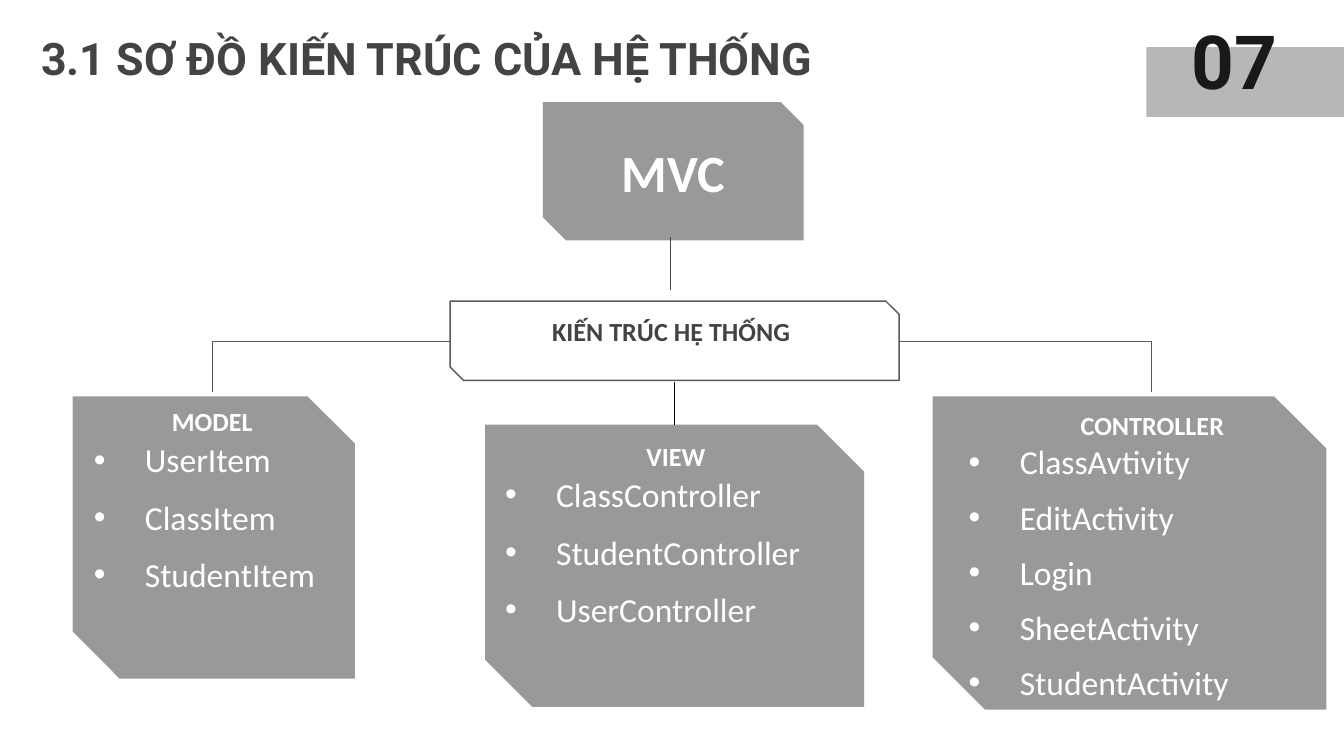
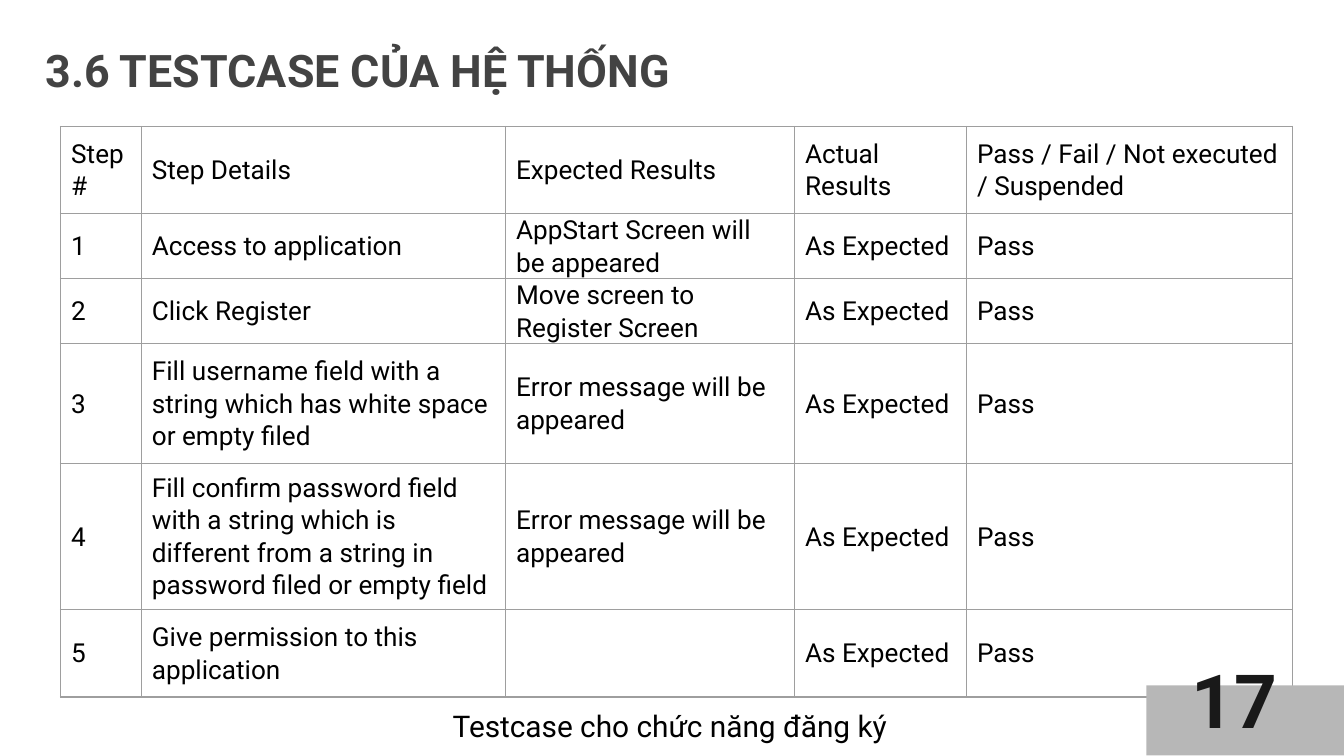
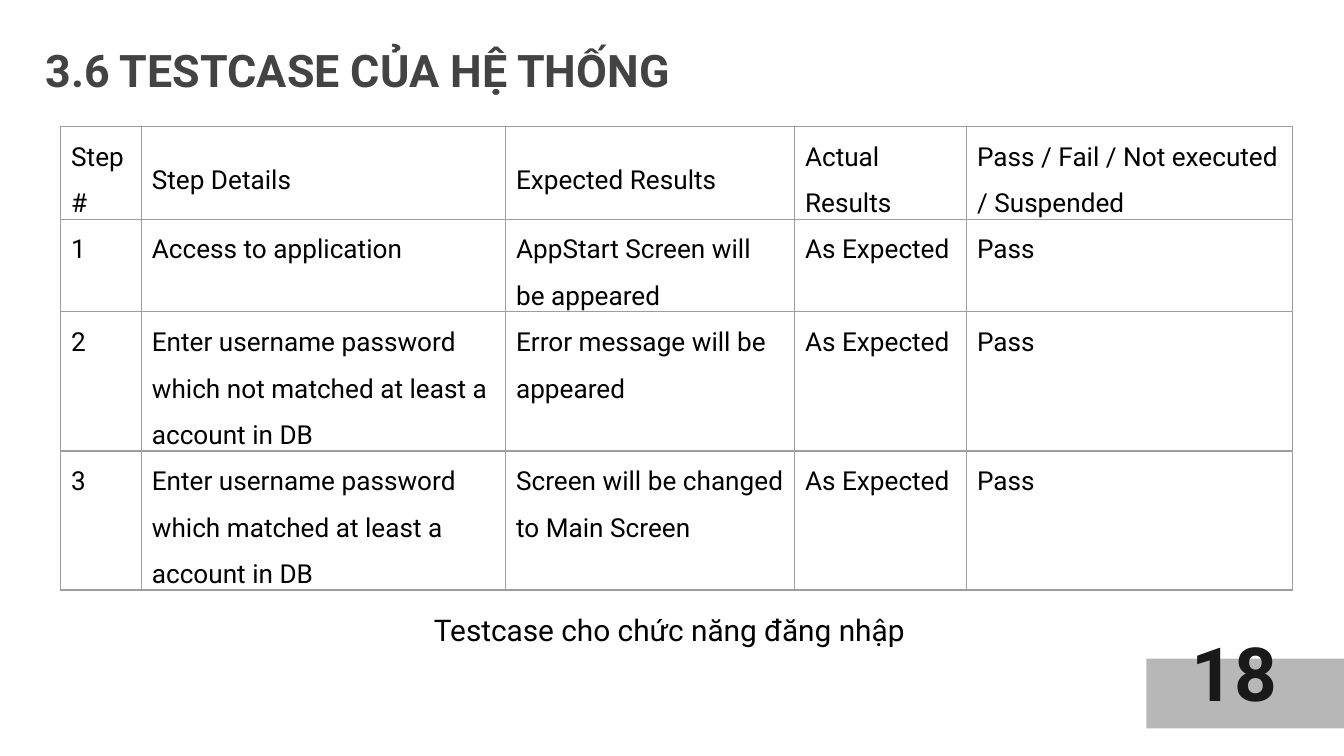
from lxml.etree import SubElement
from pptx import Presentation
from pptx.dml.color import RGBColor
from pptx.enum.shapes import MSO_CONNECTOR as CONN, MSO_SHAPE as SHAPE
from pptx.enum.text import MSO_ANCHOR as ANCHOR, MSO_AUTO_SIZE as FIT, PP_ALIGN as ALIGN
from pptx.oxml.ns import qn
from pptx.util import Pt

PX = 9144  # EMU in one px, 100 px to the inch
SANS, HEAD = "Calibri", "Roboto"
WHITE, BLACK, INK, NUMBER = "FFFFFF", "000000", "434343", "191919"
BOX, BAR, LINE, GRID = "999999", "B7B7B7", "595959", "9E9E9E"
TITLE_ONLY = 5
COLUMNS = [60, 271, 215, 128, 243]
HEADERS = ["Step #", "Step Details", "Expected Results", "Actual Results",
           "Pass / Fail / Not executed / Suspended"]

REGISTER_STEPS = [
    ("Access to application", "AppStart Screen will be appeared"),
    ("Click Register", "Move screen to Register Screen"),
    ("Fill username field with a string which has white space or empty filed",
     "Error message will be appeared"),
    ("Fill confirm password field with a string which is different from a string "
     "in password filed or empty field", "Error message will be appeared"),
    ("Give permission to this application", ""),
]
LOGIN_STEPS = [
    ("Access to application", "AppStart Screen will be appeared"),
    ("Enter username password which not matched at least a account in DB",
     "Error message will be appeared"),
    ("Enter username password which matched at least a account in DB",
     "Screen will be changed to Main Screen"),
]


def px(*lengths):
    return [n * PX for n in lengths]


def rgb(color):
    return RGBColor.from_string(color)


def write(p, text, size=14, font=HEAD, color=BLACK, bold=False,
          align=ALIGN.LEFT, spacing=None, after=None):
    p.alignment = align
    if spacing:
        p.line_spacing = spacing
    if after is not None:
        p.space_after = Pt(after)
    r = p.add_run()
    r.text = text
    r.font.size, r.font.name, r.font.bold = Pt(size), font, bold
    r.font.color.rgb = rgb(color)


def set_frame(tf, anchor=ANCHOR.TOP, inset=(10, 10), fit=FIT.NONE):
    tf.word_wrap, tf.auto_size, tf.vertical_anchor = True, fit, anchor
    tf.margin_left, tf.margin_top = tf.margin_right, tf.margin_bottom = px(*inset)


def add_text(slide, box, text, anchor=ANCHOR.TOP, inset=(10, 10), fit=FIT.NONE, **style):
    tf = slide.shapes.add_textbox(*px(*box)).text_frame
    set_frame(tf, anchor, inset, fit)
    write(tf.paragraphs[0], text, **style)
    return tf


def add_title(slide, box, text, align=ALIGN.LEFT):
    sp = slide.shapes.title
    sp.left, sp.top, sp.width, sp.height = px(*box)
    set_frame(sp.text_frame)
    write(sp.text_frame.paragraphs[0], text, size=24, color=INK, bold=True, align=align)


def add_box(slide, box, fill=None, line=None, shape=SHAPE.SNIP_2_DIAG_RECTANGLE):
    sp = slide.shapes.add_shape(shape, *px(*box))
    sp.shadow.inherit = False
    if shape == SHAPE.SNIP_2_DIAG_RECTANGLE:
        sp.adjustments[0], sp.adjustments[1] = 0, 0.167
    if fill:
        sp.fill.solid()
        sp.fill.fore_color.rgb = rgb(fill)
    else:
        sp.fill.background()
    if line:
        sp.line.color.rgb, sp.line.width = rgb(line), Pt(0.75)
    else:
        sp.line.fill.background()


def add_line(slide, start, end, color=LINE, bent=False):
    """Draw a straight line, or one that runs across and then down."""
    kind = CONN.ELBOW if bent else CONN.STRAIGHT
    line = slide.shapes.add_connector(kind, *px(*start, *end))
    line.line.color.rgb, line.line.width = rgb(color), Pt(0.75)
    props = line._element.spPr
    SubElement(props, qn("a:effectLst"))
    if bent:
        props.find(qn("a:prstGeom")).set("prst", "bentConnector2")


def add_bullet(p):
    pPr = p._p.get_or_add_pPr()
    pPr.set("marL", str(38 * PX))
    pPr.set("indent", str(-38 * PX))
    SubElement(SubElement(pPr, qn("a:buClr")), qn("a:srgbClr"), val=WHITE)
    SubElement(pPr, qn("a:buFont"), typeface="Arial")
    SubElement(pPr, qn("a:buChar"), char="•")


def add_class_list(slide, box, text_box, heading, names, spacing=None):
    add_box(slide, box, fill=BOX)
    tf = add_text(slide, text_box, heading, font=SANS, color=WHITE, bold=True,
                  align=ALIGN.CENTER)
    for name in names:
        p = tf.add_paragraph()
        add_bullet(p)
        write(p, name, size=18, font=SANS, color=WHITE, align=ALIGN.JUSTIFY,
              spacing=spacing, after=8)


def add_page_number(slide, top, number):
    add_box(slide, (853, top, 147, 52), fill=BAR, shape=SHAPE.RECTANGLE)
    add_text(slide, (877, top - 96, 83, 128), number, anchor=ANCHOR.MIDDLE, inset=(0, 0),
             fit=FIT.SHAPE_TO_FIT_TEXT, size=40, color=NUMBER, bold=True,
             align=ALIGN.CENTER, spacing=Pt(108))


def set_borders(cell):
    tcPr = cell._tc.get_or_add_tcPr()
    for side in ("lnL", "lnR", "lnT", "lnB"):
        ln = SubElement(tcPr, qn("a:" + side), w=str(Pt(0.75)))
        SubElement(SubElement(ln, qn("a:solidFill")), qn("a:srgbClr"), val=GRID)


def add_step_table(slide, steps, heights, spacing, body_anchor):
    rows = [HEADERS] + [(str(i), details, expected, "As Expected", "Pass")
                        for i, (details, expected) in enumerate(steps, 1)]
    frame = slide.shapes.add_table(len(rows), len(COLUMNS),
                                   *px(45, 94, sum(COLUMNS), sum(heights)))
    table = frame.table
    table.first_row = table.horz_banding = False
    for column, width in zip(table.columns, COLUMNS):
        column.width = width * PX
    for i, (values, height) in enumerate(zip(rows, heights)):
        table.rows[i].height = height * PX
        for j, value in enumerate(values):
            cell = table.cell(i, j)
            set_borders(cell)
            cell.fill.background()
            cell.margin_left, cell.margin_right, cell.margin_top, cell.margin_bottom = px(8, 8, 0, 0)
            cell.vertical_anchor = body_anchor if i else ANCHOR.MIDDLE
            if value:
                write(cell.text_frame.paragraphs[0], value, spacing=spacing)


def new_slide(prs):
    return prs.slides.add_slide(prs.slide_layouts[TITLE_ONLY])


def build_architecture(prs):
    slide = new_slide(prs)
    add_title(slide, (8, 13, 619, 103), "3.1 SƠ ĐỒ KIẾN TRÚC CỦA HỆ THỐNG", ALIGN.CENTER)
    add_box(slide, (404, 76, 194, 103), fill=BOX)
    add_text(slide, (440, 96, 122, 63), "MVC", anchor=ANCHOR.MIDDLE, size=28, font=SANS,
             color=WHITE, bold=True, align=ALIGN.CENTER)
    add_class_list(slide, (54, 295, 210, 210), (60, 292, 196, 213), "MODEL",
                   ["UserItem", "ClassItem", "StudentItem"], spacing=1.05)
    add_class_list(slide, (694, 295, 293, 233), (711, 295, 293, 233), "CONTROLLER",
                   ["ClassAvtivity", "EditActivity", "Login", "SheetActivity",
                    "StudentActivity"])
    add_class_list(slide, (361, 316, 282, 210), (366, 318, 274, 218), "VIEW",
                   ["ClassController", "StudentController", "UserController"], spacing=1.05)
    add_box(slide, (335, 224, 334, 59), line=LINE)
    add_text(slide, (335, 225, 329, 43), "KIẾN TRÚC HỆ THỐNG", anchor=ANCHOR.BOTTOM,
             font=SANS, color=INK, bold=True, align=ALIGN.CENTER)
    add_line(slide, (499, 176), (499, 216), color=INK)
    add_line(slide, (335, 254), (158, 292), bent=True)
    add_line(slide, (670, 254), (857, 292), bent=True)
    add_line(slide, (502, 316), (502, 284), color=BLACK)
    add_page_number(slide, 35, "07")


def build_testcase(prs, steps, heights, spacing, body_anchor, caption, caption_at,
                   number, number_top):
    slide = new_slide(prs)
    add_title(slide, (24, 22, 828, 103), "3.6 TESTCASE CỦA HỆ THỐNG")
    add_step_table(slide, steps, heights, spacing, body_anchor)
    add_text(slide, (*caption_at, 382, 37), caption, inset=(10, 5),
             fit=FIT.SHAPE_TO_FIT_TEXT, size=16)
    add_page_number(slide, number_top, number)


def main():
    prs = Presentation()
    prs.slide_width = 1000 * PX
    prs.slide_height = prs.slide_width * 9 // 16
    build_architecture(prs)
    build_testcase(prs, REGISTER_STEPS, [65, 47, 47, 89, 109, 65], 1.05, ANCHOR.MIDDLE,
                   "Testcase cho chức năng đăng ký", (327, 522), "17", 510)
    build_testcase(prs, LOGIN_STEPS, [65, 47, 47, 89], 1.5, ANCHOR.TOP,
                   "Testcase cho chức năng đăng nhập", (313, 450), "18", 490)
    prs.save("out.pptx")


if __name__ == "__main__":
    main()
